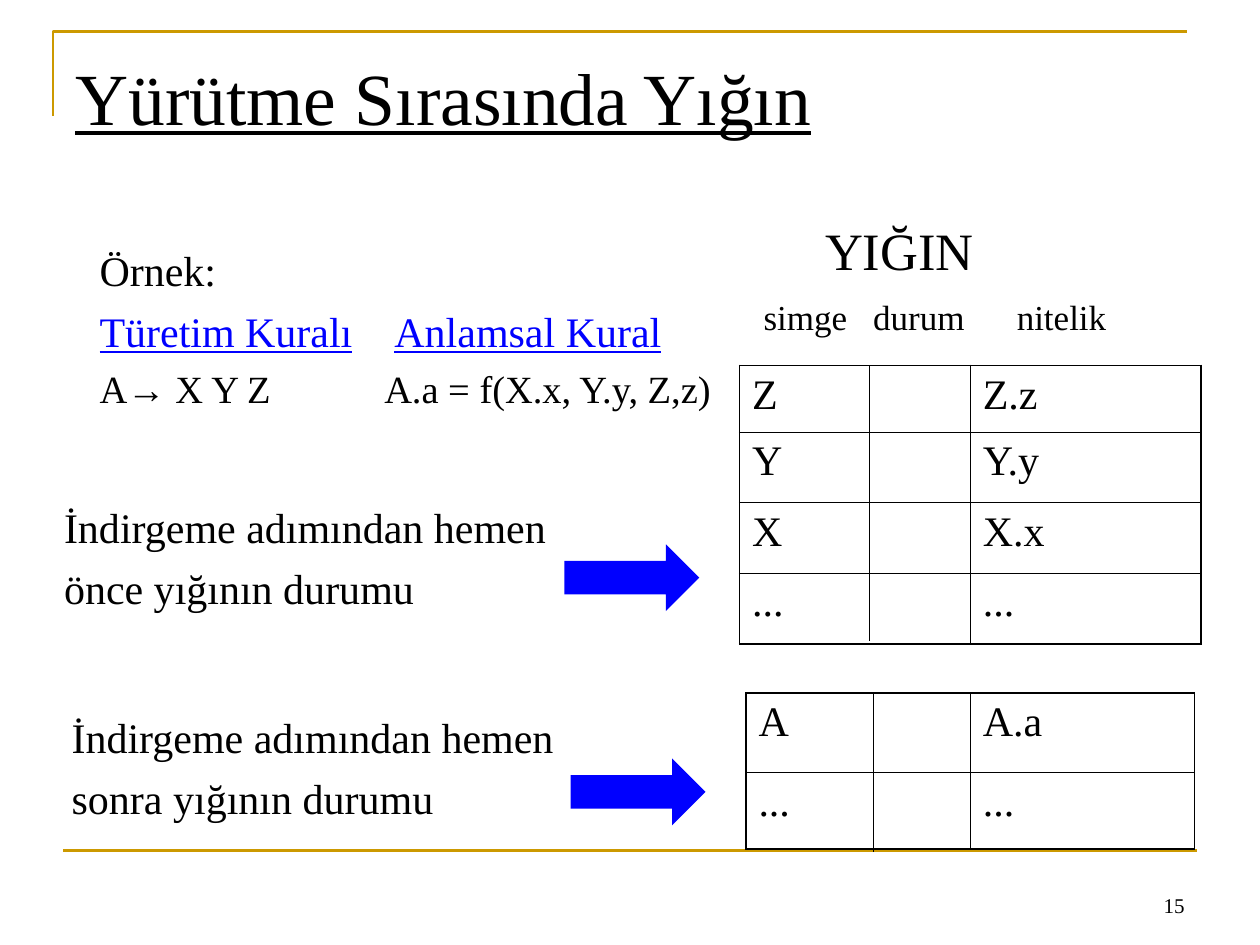
from pptx import Presentation
from pptx.dml.color import RGBColor
from pptx.enum.shapes import MSO_CONNECTOR, MSO_SHAPE
from pptx.enum.text import MSO_ANCHOR, PP_ALIGN
from pptx.oxml.ns import qn
from pptx.util import Inches, Pt
from lxml.etree import SubElement

BLACK = RGBColor(0, 0, 0)
BLUE = RGBColor(0, 0, 255)
GOLD = RGBColor(0xCC, 0x99, 0)
FONT = "Times New Roman"

deck = Presentation()
deck.slide_width, deck.slide_height = Inches(10), Inches(7.5)
slide = deck.slides.add_slide(deck.slide_layouts[6])
shapes = slide.shapes


def add_text(box, lines, size, gap=0, left=0.1, top=0.05, tabs=()):
    label = shapes.add_textbox(*map(Inches, box))
    frame = label.text_frame
    frame.word_wrap = True
    frame.margin_left, frame.margin_top = Inches(left), Inches(top)
    frame.text = "\n".join(lines)
    for row, para in enumerate(frame.paragraphs):
        if row:
            para.space_before = Pt(gap)
        if tabs:
            stops = SubElement(para._p.get_or_add_pPr(), qn("a:tabLst"))
            for stop in tabs[row]:
                SubElement(stops, qn("a:tab"), pos=str(Inches(stop)), algn="l")
        for run in para.runs:
            run.font.name, run.font.size = FONT, Pt(size)
            run.font.color.rgb = BLACK
    return frame


def add_line(x1, y1, x2, y2, color, width):
    line = shapes.add_connector(MSO_CONNECTOR.STRAIGHT, *map(Inches, (x1, y1, x2, y2)))
    line.line.color.rgb, line.line.width = color, Pt(width)
    SubElement(line._element.spPr, qn("a:effectLst"))


path = shapes.build_freeform(Inches(0.42), Inches(0.92))
path.add_line_segments([(Inches(0.42), Inches(0.25)), (Inches(9.42), Inches(0.25))], close=False)
frame = path.convert_to_shape()
frame.shadow.inherit = False
frame.fill.background()
frame.line.color.rgb, frame.line.width = GOLD, Pt(1.5)
add_line(0.5, 6.75, 9.5, 6.75, GOLD, 1.5)

page = add_text((7.17, 6.83, 2.33, 0.5), ["15"], 12)
page.vertical_anchor = MSO_ANCHOR.BOTTOM
page.paragraphs[0].alignment = PP_ALIGN.RIGHT

title = add_text((0.5, 0.3, 9, 1.25), ["Yürütme Sırasında Yığın"], 42, top=0.11)
title.paragraphs[0].runs[0].font.underline = True

stacks = [
    (5.87, 2.9, 1.83, [0.53, 0.56, 0.56, 0.56],
     [("Z", "Z.z"), ("Y", "Y.y"), ("X", "X.x"), ("...", "...")]),
    (5.92, 5.5, 1.78, [0.63, 0.61], [("A", "A.a"), ("...", "...")]),
]
for left, top, width, highs, rows in stacks:
    grid = shapes.add_table(len(rows), 2, Inches(left), Inches(top),
                            Inches(2 * width), Inches(sum(highs))).table
    grid.first_row = grid.horz_banding = False
    for col in grid.columns:
        col.width = Inches(width)
    for r, pair in enumerate(rows):
        grid.rows[r].height = Inches(highs[r])
        for c, word in enumerate(pair):
            cell = grid.cell(r, c)
            cell.text = word
            font = cell.text_frame.paragraphs[0].runs[0].font
            font.name, font.size, font.color.rgb = FONT, Pt(24), BLACK
            props = cell._tc.get_or_add_tcPr()
            outer = {"L": c == 0, "R": c == 1, "T": r == 0, "B": r == len(rows) - 1}
            for side, edge in outer.items():
                rule = SubElement(props, qn("a:ln" + side), w=str(Pt(1.08 if edge else 0.45)))
                fill = SubElement(rule, qn("a:solidFill"))
                SubElement(fill, qn("a:srgbClr"), val=str(BLACK))
            cell.fill.background()

rules = add_text((0.19, 1.85, 5.66, 1.87),
                 ["Örnek:", "Türetim Kuralı\tAnlamsal Kural", ""],
                 24, 6, left=0.6, top=0.09, tabs=[(), (2.34,), (2.26,)])
head = rules.paragraphs[1]
head.text = ""
for word in ("Türetim Kuralı", "\t", "Anlamsal Kural"):
    run = head.add_run()
    run.text = word
    run.font.name, run.font.size = FONT, Pt(24)
    run.font.underline = word != "\t"
    run.font.color.rgb = BLUE
last = rules.paragraphs[2]
last.space_before = Pt(5.5)
for word, face in (("A", FONT), ("→", "Arial"), (" X Y Z\tA.a = f(X.x, Y.y, Z,z)", FONT)):
    run = last.add_run()
    run.text = word
    run.font.name, run.font.size, run.font.color.rgb = face, Pt(22), BLACK

for left, top, word in ((0.41, 3.89, "önce"), (0.47, 5.56, "sonra")):
    add_text((left, top, 4.78, 0.99),
             ["İndirgeme adımından hemen", word + " yığının durumu"], 24, 6, top=0.09)

add_text((6.45, 1.64, 2.13, 0.6), ["YIĞIN"], 30, top=0.09)

for left, top in ((4.48, 4.32), (4.53, 6.02)):
    arrow = shapes.add_shape(MSO_SHAPE.RIGHT_ARROW, *map(Inches, (left, top, 1.07, 0.53)))
    arrow.shadow.inherit = False
    arrow.fill.solid()
    arrow.fill.fore_color.rgb = BLUE
    arrow.line.fill.background()

add_line(6.9, 2.9, 6.9, 5.09, BLACK, 0.75)
add_line(6.93, 5.51, 6.93, 6.76, BLACK, 0.75)

add_text((5.82, 2.3, 3.17, 0.44), ["simge\tdurum\tnitelik"], 20, left=0.24,
         top=0.05, tabs=[(0.87, 2.01)])

deck.save("out.pptx")
